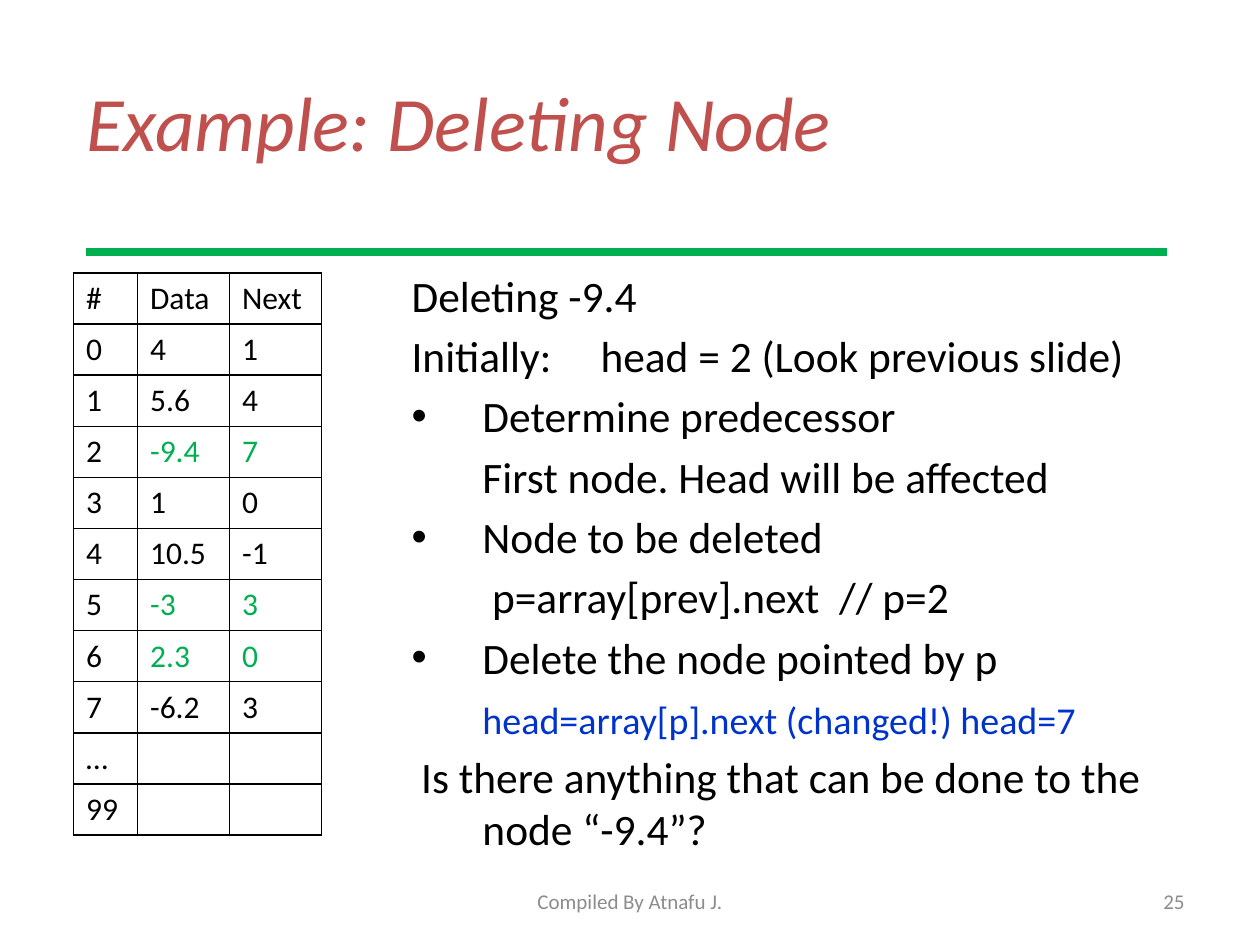
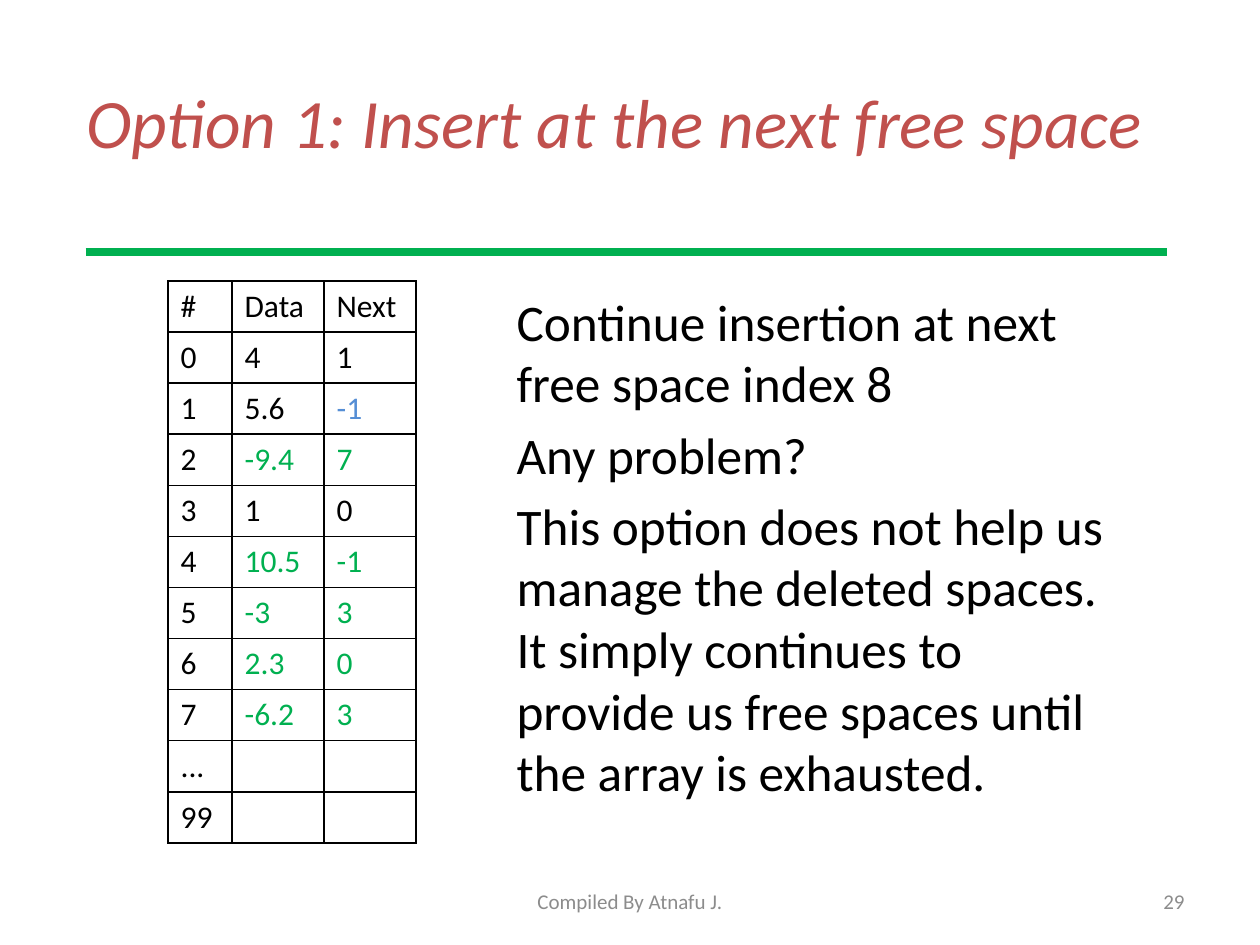
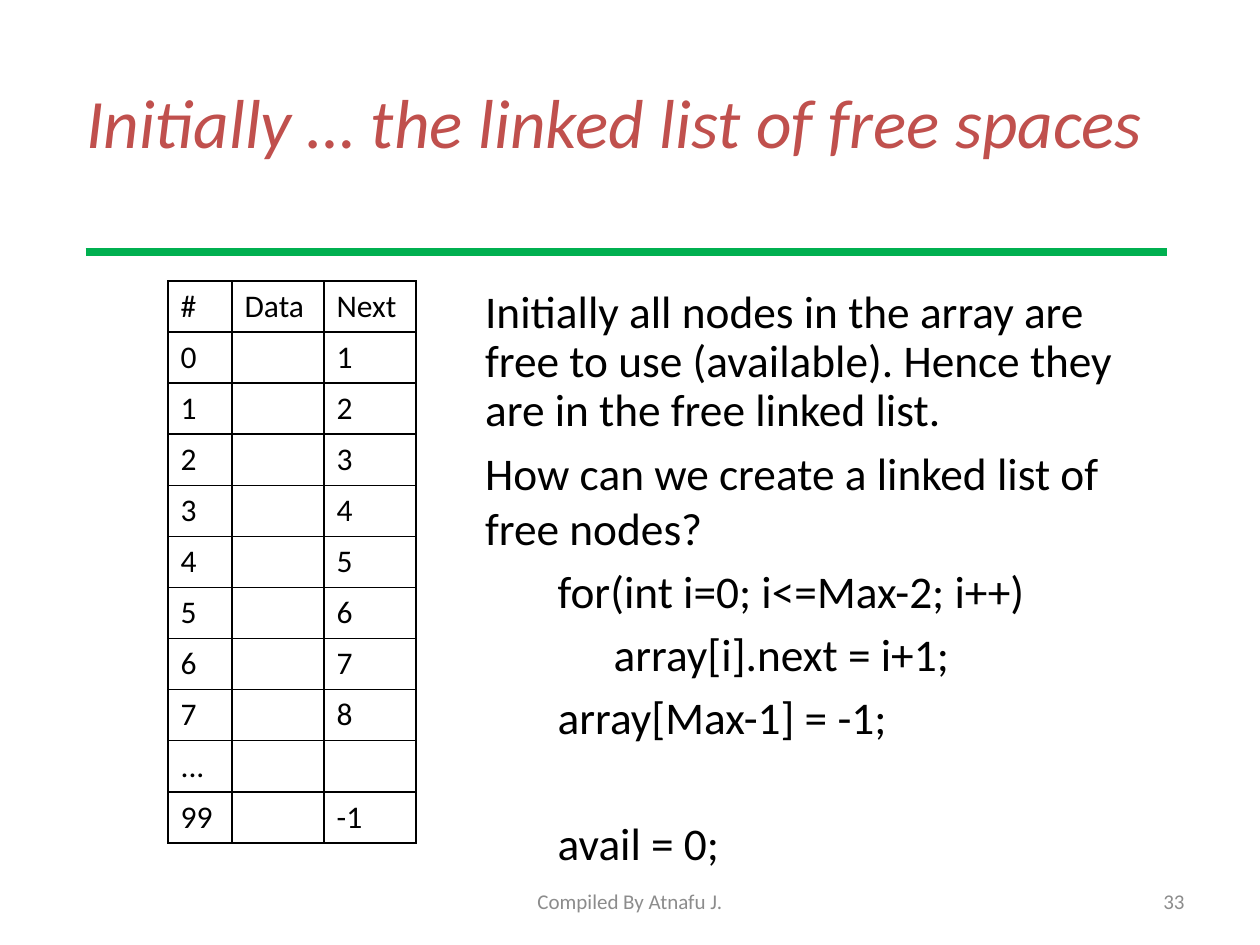
from dataclasses import dataclass

from lxml import etree
from pptx import Presentation
from pptx.dml.color import RGBColor
from pptx.enum.shapes import MSO_CONNECTOR
from pptx.enum.text import MSO_ANCHOR, MSO_AUTO_SIZE, PP_ALIGN
from pptx.oxml.ns import qn
from pptx.util import Pt

STRAIGHT = MSO_CONNECTOR.STRAIGHT
MIDDLE = MSO_ANCHOR.MIDDLE
NO_AUTOFIT = MSO_AUTO_SIZE.NONE
LEFT, CENTER, RIGHT = PP_ALIGN.LEFT, PP_ALIGN.CENTER, PP_ALIGN.RIGHT


@dataclass(frozen=True)
class Theme:
    font: str = "Calibri"
    ink: str = "000000"
    title: str = "C0504D"
    green: str = "00B050"
    changed: str = "558ED5"
    result: str = "0033CC"
    muted: str = "8C8C8C"
    cell_size: float = 18
    result_size: float = 21.7
    footer_size: float = 12
    space_share: float = 0.19


THEME = Theme()


@dataclass(frozen=True)
class Style:
    """Paragraph layout in points; gap is extra space before."""
    margin: float = 0
    indent: float = 0
    line: float = 1
    gap: float = 0
    tab: float = 0
    bullet: bool = False
    size: float = 0
    color: str = THEME.ink


STYLES = {
    "plain": Style(),
    "tight": Style(line=0.8),
    "snug": Style(line=0.9),
    "tabbed": Style(tab=97),
    "step": Style(margin=40.5, indent=-40.5, bullet=True),
    "detail": Style(margin=40.5),
    "code detail": Style(margin=46),
    "result": Style(margin=40.5, gap=3, size=THEME.result_size, color=THEME.result),
    "question": Style(margin=40.5, indent=-35),
    "code": Style(margin=41.5),
    "nested code": Style(margin=73.5),
    "last code": Style(margin=41.5, gap=36.4),
}

HEADINGS = ("#", "Data", "Next")
FOOTER = "Compiled By Atnafu J."

# Nodes are (data, next) for indexes 0 to 7; cells in "changed" are (row, column).
SLIDES = [
    {
        "title": "Example: Deleting Node", "title_size": 44, "number": 25,
        "table_at": (42, 156),
        "nodes": [("4", "1"), ("5.6", "4"), ("-9.4", "7"), ("1", "0"),
                  ("10.5", "-1"), ("-3", "3"), ("2.3", "0"), ("-6.2", "3")],
        "ellipsis": "…", "last_next": "",
        "freed": {2, 5, 6}, "changed": set(),
        "body_at": (228, 156, 444, 354), "body_size": 24.8,
        "body": [
            ("tight", "Deleting -9.4"),
            ("tabbed", "Initially:\thead = 2 (Look previous slide)"),
            ("step", "Determine predecessor"),
            ("detail", "First node. Head will be affected"),
            ("step", "Node to be deleted"),
            ("code detail", "p=array[prev].next  // p=2"),
            ("step", "Delete the node pointed by p"),
            ("result", "head=array[p].next (changed!) head=7"),
            ("question", "Is there anything that can be done to the node “-9.4”?"),
        ],
    },
    {
        "title": "Option 1: Insert at the next free space", "title_size": 39.6, "number": 29,
        "table_at": (96, 160.5),
        "nodes": [("4", "1"), ("5.6", "-1"), ("-9.4", "7"), ("1", "0"),
                  ("10.5", "-1"), ("-3", "3"), ("2.3", "0"), ("-6.2", "3")],
        "ellipsis": "...", "last_next": "",
        "freed": {2, 4, 5, 6, 7}, "changed": {(1, 2)},
        "body_at": (288, 162, 358, 302), "body_size": 29.3,
        "body": [
            ("plain", "Continue insertion at next free space index 8"),
            ("plain", "Any problem?"),
            ("plain", "This option does not help us manage the deleted spaces. "
                      "It simply continues to provide us free spaces until "
                      "the array is exhausted."),
        ],
    },
    {
        "title": "Initially … the linked list of free spaces", "title_size": 39.6, "number": 33,
        "table_at": (96, 160.5),
        "nodes": [("", str(index + 1)) for index in range(8)],
        "ellipsis": "...", "last_next": "-1",
        "freed": set(), "changed": set(),
        "body_at": (270, 162, 390, 336), "body_size": 25.9,
        "body": [
            ("snug", "Initially all nodes in the array are free to use (available). "
                     "Hence they are in the free linked list."),
            ("plain", "How can we create a linked list of free nodes?"),
            ("code", "for(int i=0; i<=Max-2; i++)"),
            ("nested code", "array[i].next = i+1;"),
            ("code", "array[Max-1] = -1;"),
            ("last code", "avail = 0;"),
        ],
    },
]

TITLE_AT = (42, 24, 648, 90)
RULE_LEFT, RULE_RIGHT, RULE_TOP, RULE_WIDTH = 49, 667, 144, 4.25
FOOTER_AT = (246, 500.5, 228, 29)
NUMBER_AT = (516, 500.5, 168, 29)
COLUMN_WIDTHS = (36.6, 52.6, 52.6)
ROW_HEIGHT = 29.2


def pts(values):
    return [Pt(value) for value in values]


def place(shape, box):
    shape.left, shape.top, shape.width, shape.height = pts(box)


def format_runs(paragraph, size, color, italic=False):
    for run in paragraph.runs:
        run.font.name = THEME.font
        run.font.size = Pt(size)
        run.font.italic = italic
        run.font.color.rgb = RGBColor.from_string(color)


def add_title(slide, text, size):
    title = slide.shapes.title
    place(title, TITLE_AT)
    frame = title.text_frame
    frame.text = text
    frame.auto_size = NO_AUTOFIT
    frame.vertical_anchor = MIDDLE
    frame.paragraphs[0].alignment = LEFT
    format_runs(frame.paragraphs[0], size, THEME.title, italic=True)


def add_rule(slide):
    rule = slide.shapes.add_connector(
        STRAIGHT, *pts((RULE_LEFT, RULE_TOP, RULE_RIGHT, RULE_TOP)))
    rule.line.color.rgb = RGBColor.from_string(THEME.green)
    rule.line.width = Pt(RULE_WIDTH)
    etree.SubElement(rule._element.spPr, qn("a:effectLst"))


def add_footer_text(slide, box, text, alignment):
    frame = slide.shapes.add_textbox(*pts(box)).text_frame
    frame.text = text
    frame.word_wrap = True
    frame.vertical_anchor = MIDDLE
    frame.paragraphs[0].alignment = alignment
    format_runs(frame.paragraphs[0], THEME.footer_size, THEME.muted)


def add_borders(cell):
    properties = cell._tc.get_or_add_tcPr()
    for side in ("a:lnL", "a:lnR", "a:lnT", "a:lnB"):
        border = etree.SubElement(properties, qn(side), w=str(Pt(1)))
        fill = etree.SubElement(border, qn("a:solidFill"))
        etree.SubElement(fill, qn("a:srgbClr"), val=THEME.ink)


def add_node_table(slide, content):
    rows = [HEADINGS]
    rows += [(str(index), *node) for index, node in enumerate(content["nodes"])]
    rows += [(content["ellipsis"], "", ""), ("99", "", content["last_next"])]
    box = (*content["table_at"], sum(COLUMN_WIDTHS), ROW_HEIGHT * len(rows))
    table = slide.shapes.add_table(len(rows), len(HEADINGS), *pts(box)).table
    table.first_row = table.horz_banding = False
    for column, width in zip(table.columns, COLUMN_WIDTHS):
        column.width = Pt(width)
    for row_number, values in enumerate(rows):
        table.rows[row_number].height = Pt(ROW_HEIGHT)
        node = row_number - 1
        for column, value in enumerate(values):
            cell = table.cell(row_number, column)
            cell.text = value
            cell.vertical_anchor = MIDDLE
            add_borders(cell)
            cell.fill.background()
            color = THEME.ink
            if (node, column) in content["changed"]:
                color = THEME.changed
            elif node in content["freed"] and column > 0:
                color = THEME.green
            format_runs(cell.text_frame.paragraphs[0], THEME.cell_size, color)


def apply_style(paragraph, style, body_size, first):
    paragraph.alignment = LEFT
    paragraph.line_spacing = style.line
    space = 0 if first else body_size * THEME.space_share + style.gap
    paragraph.space_before = Pt(round(space, 1))
    properties = paragraph._p.get_or_add_pPr()
    properties.set("marL", str(Pt(style.margin)))
    properties.set("indent", str(Pt(style.indent)))
    if style.bullet:
        etree.SubElement(properties, qn("a:buFont"), typeface="Arial")
        etree.SubElement(properties, qn("a:buChar"), char="•")
    else:
        etree.SubElement(properties, qn("a:buNone"))
    if style.tab:
        tabs = etree.SubElement(properties, qn("a:tabLst"))
        etree.SubElement(tabs, qn("a:tab"), pos=str(Pt(style.tab)), algn="l")
    format_runs(paragraph, style.size or body_size, style.color)


def add_body(slide, content):
    body = slide.placeholders[1]
    place(body, content["body_at"])
    frame = body.text_frame
    frame.text = "\n".join(text for _, text in content["body"])
    frame.word_wrap = True
    frame.auto_size = NO_AUTOFIT
    for number, (paragraph, (style, _)) in enumerate(zip(frame.paragraphs, content["body"])):
        apply_style(paragraph, STYLES[style], content["body_size"], first=number == 0)


def main():
    deck = Presentation()
    deck.slide_width, deck.slide_height = Pt(720), Pt(540)
    title_and_content = deck.slide_layouts[1]
    for content in SLIDES:
        slide = deck.slides.add_slide(title_and_content)
        add_title(slide, content["title"], content["title_size"])
        add_rule(slide)
        add_node_table(slide, content)
        add_body(slide, content)
        add_footer_text(slide, FOOTER_AT, FOOTER, CENTER)
        add_footer_text(slide, NUMBER_AT, str(content["number"]), RIGHT)
    deck.save("out.pptx")


if __name__ == "__main__":
    main()
